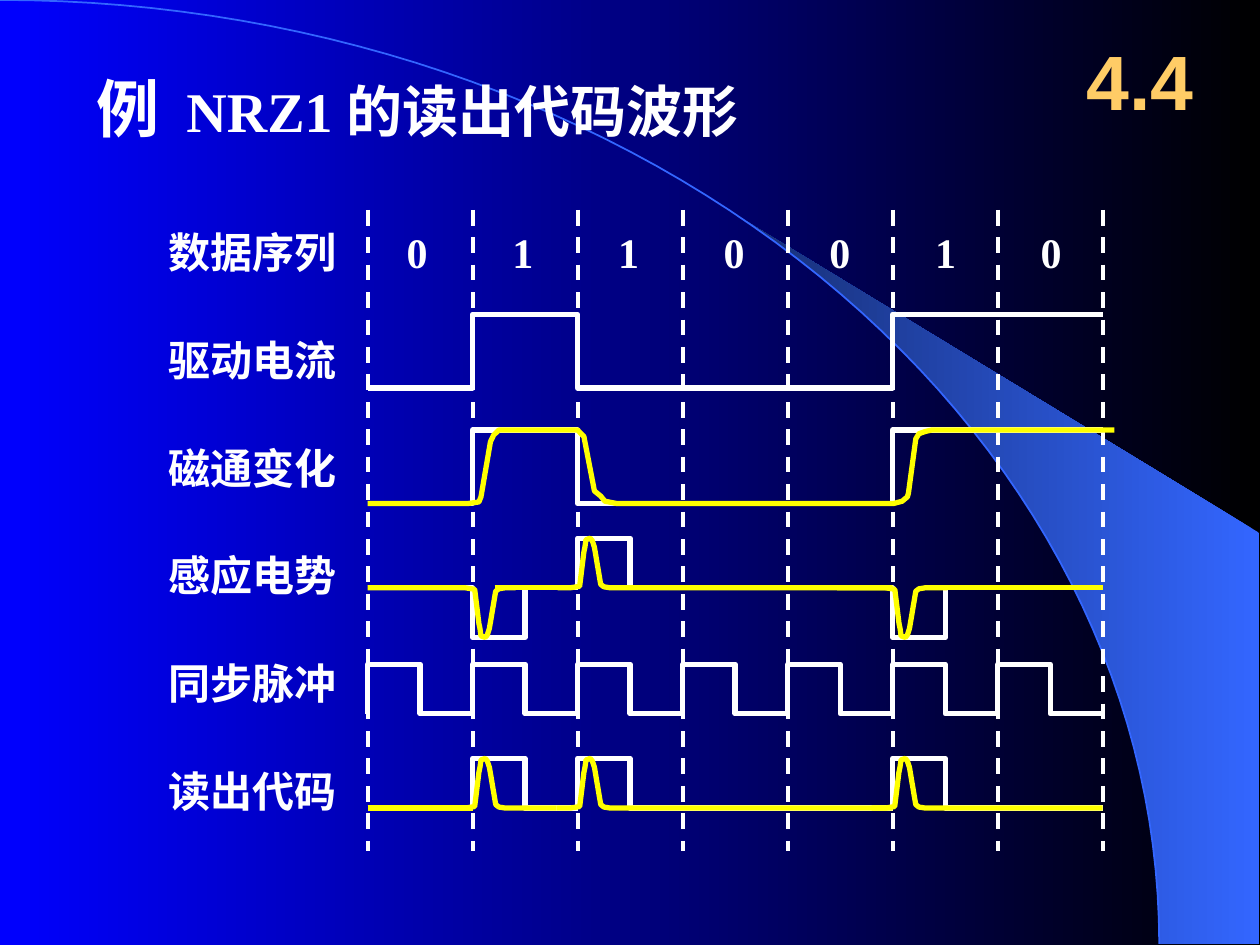
from math import asin, cos, pi, sin

from lxml.etree import SubElement
from pptx import Presentation
from pptx.dml.color import RGBColor
from pptx.enum.dml import MSO_LINE
from pptx.enum.shapes import MSO_CONNECTOR
from pptx.enum.text import MSO_ANCHOR, PP_ALIGN
from pptx.oxml.ns import qn
from pptx.util import Cm, Pt

WHITE, YELLOW, BLUE = "FFFFFF", "FFFF00", "3366FF"
SERIF = "Times New Roman"
CELLS = 7
GRID_LEFT, GRID_WIDTH = 7.41, 14.82
PITCH = GRID_WIDTH / CELLS
BELL = [(0.02, 0.03), (0.06, 0.72), (0.07, 0.82), (0.08, 0.97), (0.12, 1),
        (0.14, 0.95), (0.16, 0.82), (0.22, 0.07), (0.25, 0.02), (0.31, 0)]
SQUARE = [(0, 0), (0, 1), (0.5, 1), (0.5, 0)]
CODE = [(0, 0), (1, 0), (1, 1), (2, 1), (2, 0), (5, 0), (5, 1), (7, 1)]
FLUX = [(0, 0), (0.96, 0), (1.06, 0.02), (1.08, 0.09), (1.17, 0.84), (1.2, 0.93),
        (1.25, 1), (2, 1), (2.02, 0.97), (2.06, 0.91), (2.16, 0.17), (2.22, 0.1),
        (2.26, 0.03), (2.37, 0), (5.01, 0), (5.09, 0.03), (5.14, 0.09), (5.15, 0.14),
        (5.22, 0.88), (5.25, 0.95), (5.31, 0.98), (5.37, 1), (7.11, 1)]


def color(value):
    return RGBColor.from_string(value)


def shade(fill, first, last):
    fill.gradient()
    fill.gradient_angle = 180
    for stop, value in zip(fill.gradient_stops, (first, last)):
        stop.color.rgb = color(value)


def add_text(page, box, spans, font=SERIF, value=WHITE, wrap=False, centered=False):
    shape = page.shapes.add_textbox(*map(Cm, box))
    frame = shape.text_frame
    frame.word_wrap = wrap
    para = frame.paragraphs[0]
    if centered:
        frame.vertical_anchor = MSO_ANCHOR.MIDDLE
        para.alignment = PP_ALIGN.CENTER
    for text, size, spacing in spans:
        span = para.add_run()
        span.text = text
        span.font.size = Pt(size)
        span.font.name = font
        span.font.bold = True
        span.font.color.rgb = color(value)
        if spacing:
            span._r.get_or_add_rPr().set("spc", str(spacing * 100))


def add_outline(page, points, closed=False):
    corners = [(Cm(x), Cm(y)) for x, y in points]
    builder = page.shapes.build_freeform(*corners[0], scale=1.0)
    builder.add_line_segments(corners[1:], close=closed)
    shape = builder.convert_to_shape()
    shape.shadow.inherit = False
    return shape


def add_path(page, points, value, width):
    if len(points) == 2:
        start, end = points
        shape = page.shapes.add_connector(
            MSO_CONNECTOR.STRAIGHT, *map(Cm, (*start, *end)))
        SubElement(shape._element.spPr, qn("a:effectLst"))
    else:
        shape = add_outline(page, points)
        shape.fill.background()
    shape.line.color.rgb = color(value)
    shape.line.width = Pt(width)
    return shape


def add_wave(page, box, points, value):
    left, top, width, height = box
    add_path(page, [(left + x * width / CELLS, top + (1 - y) * height)
                    for x, y in points], value, 3)


def add_pulse(page, box, profile, cell, start, end, sign, value):
    points = [(cell + x, sign * y) for x, y in profile]
    lead = [(start, 0)] if start < cell else []
    if profile is BELL and start < cell - 0.1:
        lead.append((cell - 0.07, 0))
    add_wave(page, box, lead + points + [(end, 0)], value)


def add_backdrop(page, box):
    left, top, width, height = box
    shade(page.background.fill, "000000", "0000FF")
    radius = 23.37

    def arc(first, steps=60):
        angles = [first + (pi / 2 - first) * i / steps for i in range(steps + 1)]
        return [(left + radius * sin(a), top + height * (1 - cos(a))) for a in angles]

    right = left + width
    beam = [(right, top + height), (right, top + 10.74)] + arc(asin(14.96 / radius))
    wedge = add_outline(page, beam, True)
    shade(wedge.fill, BLUE, "172F75")
    wedge.line.fill.background()
    add_path(page, arc(0), BLUE, 1)


def add_heading(page, box):
    left, top, width, height = box
    add_text(page, (left, top, 15.88, 1.78),
             [("例", 36, 0), (" ", 32, 8), ("NRZ1 的读出代码波形", 32, 0)], wrap=True)
    add_text(page, (left + width - 3.18, top - 0.84, 3.18, 2.34), [("4.4", 44, 0)],
             font="Arial", value="FFCC66", wrap=True, centered=True)


def add_grid(page, box):
    left, top, width, height = box
    for index in range(CELLS + 1):
        x = left + index * width / CELLS
        line = add_path(page, [(x, top), (x, top + height)], WHITE, 2.25)
        line.line.dash_style = MSO_LINE.DASH
    for index, digit in enumerate("0110010"):
        add_text(page, (left + 0.54 + 2.13 * index, top + 0.21, 0.91, 1.27),
                 [(digit, 24, 0)])


def add_labels(page, box):
    left, top, width, height = box
    names = ["数据序列", "驱动电流", "磁通变化", "感应电势", "同步脉冲", "读出代码"]
    for index, name in enumerate(names):
        add_text(page, (left, top + index * height / len(names), width, 1.27),
                 [(name, 24, 0)])


def add_potential(page, box):
    for start, end in ((1.5, 2), (5.5, 7)):
        add_wave(page, box, [(start, 0), (end, 0)], WHITE)
    for cell, start, end, sign in ((2, 2, 4.5, 1), (1, 0, 1.5, -1), (5, 4.5, 5.5, -1)):
        add_pulse(page, box, SQUARE, cell, start, end, sign, WHITE)
    for start, end in ((1.21, 1.81), (5.51, 7)):
        add_wave(page, box, [(start, 0), (end, 0)], YELLOW)
    for cell, start, end, sign in ((2, 1.81, 5, 1), (5, 4.47, 5.52, -1), (1, 0, 1.41, -1)):
        add_pulse(page, box, BELL, cell, start, end, sign, YELLOW)


def add_readout(page, box):
    for value, profile, lead in ((WHITE, SQUARE, 0), (YELLOW, BELL, 0.2)):
        add_wave(page, box, [(0, 0), (1, 0)], value)
        for cell, end in ((1, 2 - lead), (2, 5), (5, 7)):
            add_pulse(page, box, profile, cell, cell - lead, end, 1, value)


def add_waveforms(page, box):
    left, top, width, height = box

    def row(offset, tall):
        return left, top + offset, width, tall

    add_wave(page, row(2.11, 1.48), CODE, WHITE)
    add_wave(page, row(4.44, 1.48), CODE, WHITE)
    add_wave(page, row(4.44, 1.48), FLUX, YELLOW)
    add_potential(page, row(6.62, 1))
    for cell in range(CELLS):
        add_pulse(page, row(9.16, 1), SQUARE, cell, cell, cell + 1, 1, WHITE)
    add_readout(page, row(11.06, 1))


def build_slide(deck):
    page = deck.slides.add_slide(deck.slide_layouts[6])
    add_backdrop(page, (0, 0, 25.38, 19.03))
    add_heading(page, (1.7, 1.27, 22.87, 1.78))
    chart = (GRID_LEFT, 4.23, GRID_WIDTH, 12.92)
    add_grid(page, chart)
    add_labels(page, (3.15, 4.45, 3.89, 13.02))
    add_waveforms(page, chart)


deck = Presentation()
deck.slide_width, deck.slide_height = Cm(25.4), Cm(19.05)
build_slide(deck)
deck.save("out.pptx")
